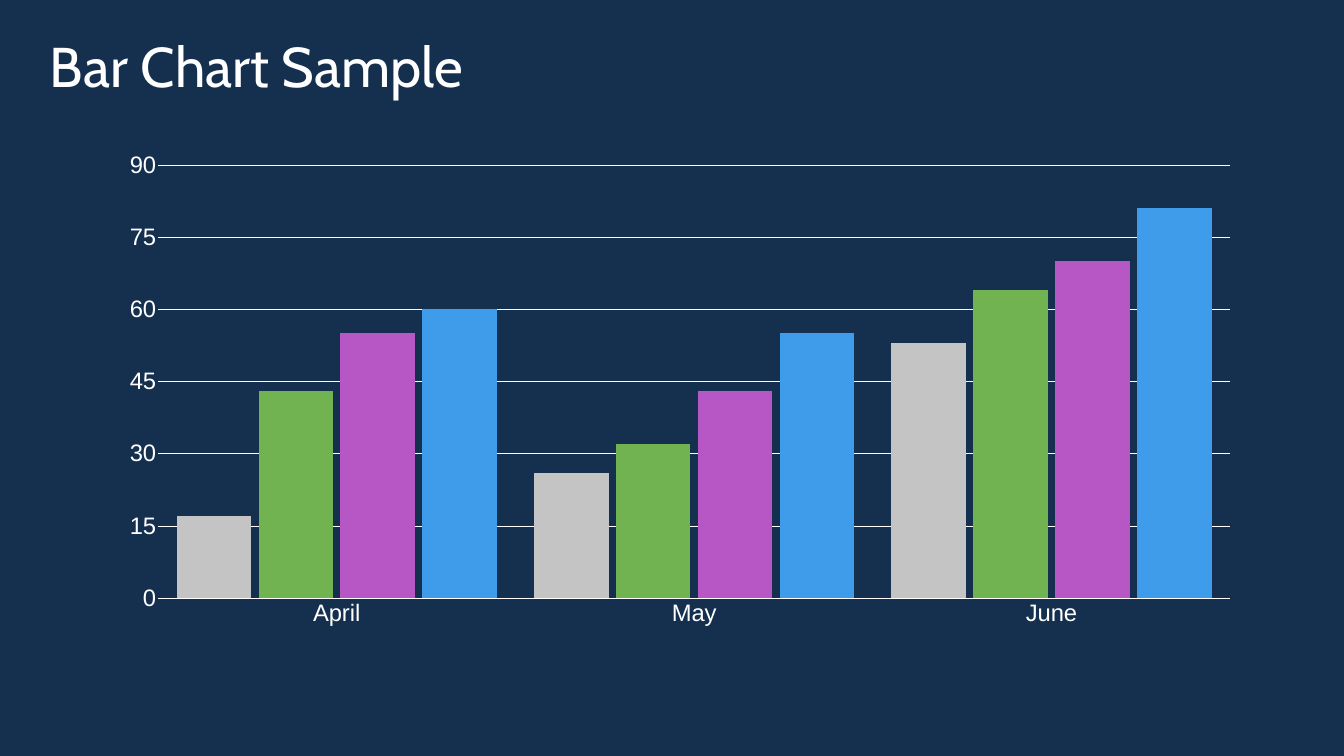
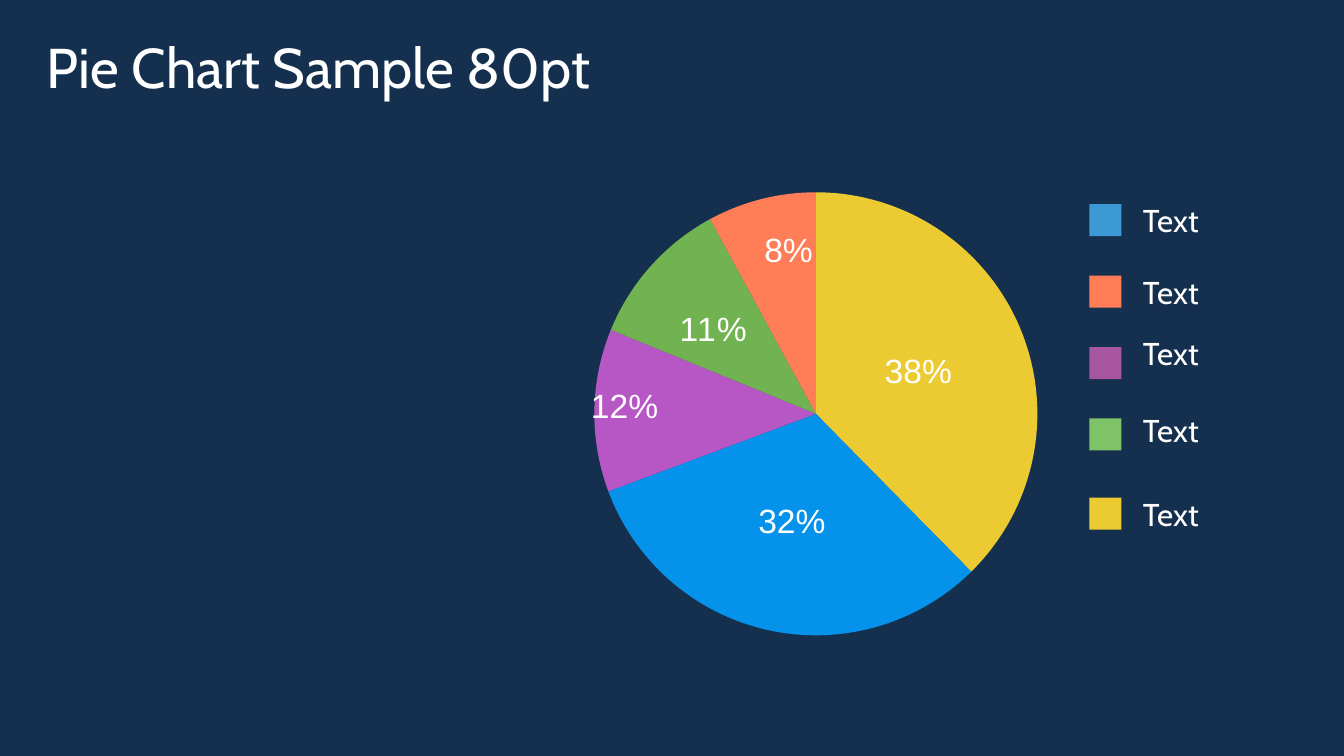
from lxml import etree
from pptx import Presentation
from pptx.chart.data import CategoryChartData
from pptx.dml.color import RGBColor
from pptx.enum.chart import XL_CHART_TYPE, XL_LABEL_POSITION, XL_TICK_MARK
from pptx.enum.shapes import MSO_SHAPE
from pptx.enum.text import MSO_ANCHOR
from pptx.oxml.ns import qn
from pptx.util import Emu, Pt

COLUMNS, PIE = XL_CHART_TYPE.COLUMN_CLUSTERED, XL_CHART_TYPE.PIE
CENTER, NO_TICK = XL_LABEL_POSITION.CENTER, XL_TICK_MARK.NONE
RECT, MIDDLE = MSO_SHAPE.RECTANGLE, MSO_ANCHOR.MIDDLE

NAVY = RGBColor(0x15, 0x30, 0x4E)
WHITE = RGBColor(0xFF, 0xFF, 0xFF)
GRAY = RGBColor(0xC4, 0xC4, 0xC4)
GREEN = RGBColor(0x71, 0xB2, 0x51)
LIGHT_GREEN = RGBColor(0x7E, 0xC3, 0x68)
PURPLE = RGBColor(0xB7, 0x56, 0xC5)
PLUM = RGBColor(0xA9, 0x56, 0xA0)
SKY = RGBColor(0x3F, 0x9C, 0xEA)
BRIGHT_BLUE = RGBColor(0x05, 0x92, 0xEA)
BLUE = RGBColor(0x3B, 0x99, 0xD4)
YELLOW = RGBColor(0xEB, 0xCB, 0x31)
CORAL = RGBColor(0xFF, 0x7D, 0x57)
TEXT_FONT, CHART_FONT = "Cabin", "Arial"

MONTHS = ["April", "May", "June"]
BARS = [
    ("Series 1", (17, 26, 53), GRAY),
    ("Series 2", (43, 32, 64), GREEN),
    ("Series 3", (55, 43, 70), PURPLE),
    ("Series 4", (60, 55, 81), SKY),
]
# value, colour, label shift as a share of the chart
SLICES = [
    (38, YELLOW, None),
    (32, BRIGHT_BLUE, None),
    (12, PURPLE, (-0.16, -0.01)),
    (11, GREEN, (-0.04, -0.02)),
    (8, CORAL, (0, -0.11)),
]
# label, colour, swatch top, label top
LEGEND = [
    ("Text", BLUE, 389, 374),
    ("Text", CORAL, 525, 511),
    ("Text", PLUM, 661, 628),
    ("Text", LIGHT_GREEN, 797, 774),
    ("Text", YELLOW, 948, 933),
]
SWATCH_X, SWATCH, LABEL_X, LABEL_W, LABEL_H = 2075, 61, 2171, 286, 90


def px(*lengths):
    return [Emu(n * 9525) for n in lengths]


def set_font(font, size, name):
    font.size, font.name = Pt(size), name
    font.color.rgb = WHITE


def fill(part, color):
    part.format.fill.solid()
    part.format.fill.fore_color.rgb = color


def add_text(s, text, box, size, inset=0, spacing=None):
    tf = s.shapes.add_textbox(*px(*box)).text_frame
    tf.word_wrap = True
    tf.vertical_anchor = MIDDLE
    tf.margin_left = tf.margin_top = tf.margin_right = tf.margin_bottom = px(inset)[0]
    p = tf.paragraphs[0]
    p.text = text
    p.line_spacing = spacing
    set_font(p.font, size, TEXT_FONT)


def add_slide(prs, title, title_box):
    s = prs.slides.add_slide(prs.slide_layouts[6])
    add_text(s, title, title_box, 80, spacing=0.9)
    return s


def manual_layout(**values):
    layout = etree.Element(qn("c:layout"))
    manual = etree.SubElement(layout, qn("c:manualLayout"))
    for tag, value in values.items():
        etree.SubElement(manual, qn(f"c:{tag}"), val=str(value))
    return layout


def add_chart(s, kind, box, categories, series, plot_box):
    data = CategoryChartData()
    data.categories = categories
    for name, values in series:
        data.add_series(name, values)
    chart = s.shapes.add_chart(kind, *px(*box), data).chart
    chart.has_title = chart.has_legend = False
    set_font(chart.font, 34, CHART_FONT)
    area = chart.plots[0]._element.getparent()
    for old in area.findall(qn("c:layout")):
        area.remove(old)
    x, y, w, h = plot_box
    area.insert(0, manual_layout(layoutTarget="inner", xMode="edge", yMode="edge",
                                 x=x, y=y, w=w, h=h))
    return chart


def add_bar_chart(s):
    chart = add_chart(s, COLUMNS, (216, 256, 2128, 971), MONTHS,
                      [(name, values) for name, values, _ in BARS],
                      (0.04, 0.06, 0.96, 0.85))
    plot = chart.plots[0]
    plot.gap_width, plot.overlap, plot.vary_by_categories = 50, -10, False
    for series, (_, _, color) in zip(plot.series, BARS):
        fill(series, color)
    for axis in (chart.category_axis, chart.value_axis):
        axis.major_tick_mark = axis.minor_tick_mark = NO_TICK
        axis.format.line.fill.background()
        set_font(axis.tick_labels.font, 34, CHART_FONT)
    axis = chart.value_axis
    axis.minimum_scale, axis.maximum_scale, axis.major_unit = 0, 90, 15
    line = axis.major_gridlines.format.line
    line.color.rgb, line.width = WHITE, Pt(1)


def add_pie_chart(s):
    chart = add_chart(s, PIE, (1017, 280, 959, 959),
                      [str(i + 1) for i in range(len(SLICES))],
                      [("Region 1", [value for value, _, _ in SLICES])],
                      (0.12, 0.06, 0.88, 0.94))
    series = chart.plots[0].series[0]
    labels = series.data_labels
    labels.show_value, labels.show_percentage = False, True
    labels.number_format, labels.number_format_is_linked = "#,##0%", False
    labels.position = CENTER
    set_font(labels.font, 48, CHART_FONT)
    for i, (_, color, shift) in enumerate(SLICES):
        point = series.points[i]
        fill(point, color)
        if shift:
            point.data_label.position = CENTER
            set_font(point.data_label.font, 48, CHART_FONT)
            label = labels._element.findall(qn("c:dLbl"))[-1]
            label.insert(1, manual_layout(x=shift[0], y=shift[1]))
            label.insert(2, etree.Element(qn("c:numFmt"), formatCode="#,##0%",
                                          sourceLinked="0"))
            label.find(qn("c:showVal")).set("val", "0")
            label.find(qn("c:showPercent")).set("val", "1")


def add_legend(s):
    for text, color, swatch_y, label_y in LEGEND:
        sp = s.shapes.add_shape(RECT, *px(SWATCH_X, swatch_y, SWATCH, SWATCH))
        sp.shadow.inherit = False
        sp.fill.solid()
        sp.fill.fore_color.rgb = color
        sp.line.fill.background()
        add_text(s, text, (LABEL_X, label_y, LABEL_W, LABEL_H), 45, inset=6)


def main():
    prs = Presentation()
    prs.slide_width, prs.slide_height = px(2560, 1440)
    background = prs.slide_master.background.fill
    background.solid()
    background.fore_color.rgb = NAVY

    add_bar_chart(add_slide(prs, "Bar Chart Sample", (95, 12, 1734, 240)))
    s = add_slide(prs, "Pie Chart Sample 80pt", (89, 3, 2205, 261))
    add_pie_chart(s)
    add_legend(s)
    prs.save("out.pptx")


if __name__ == "__main__":
    main()
